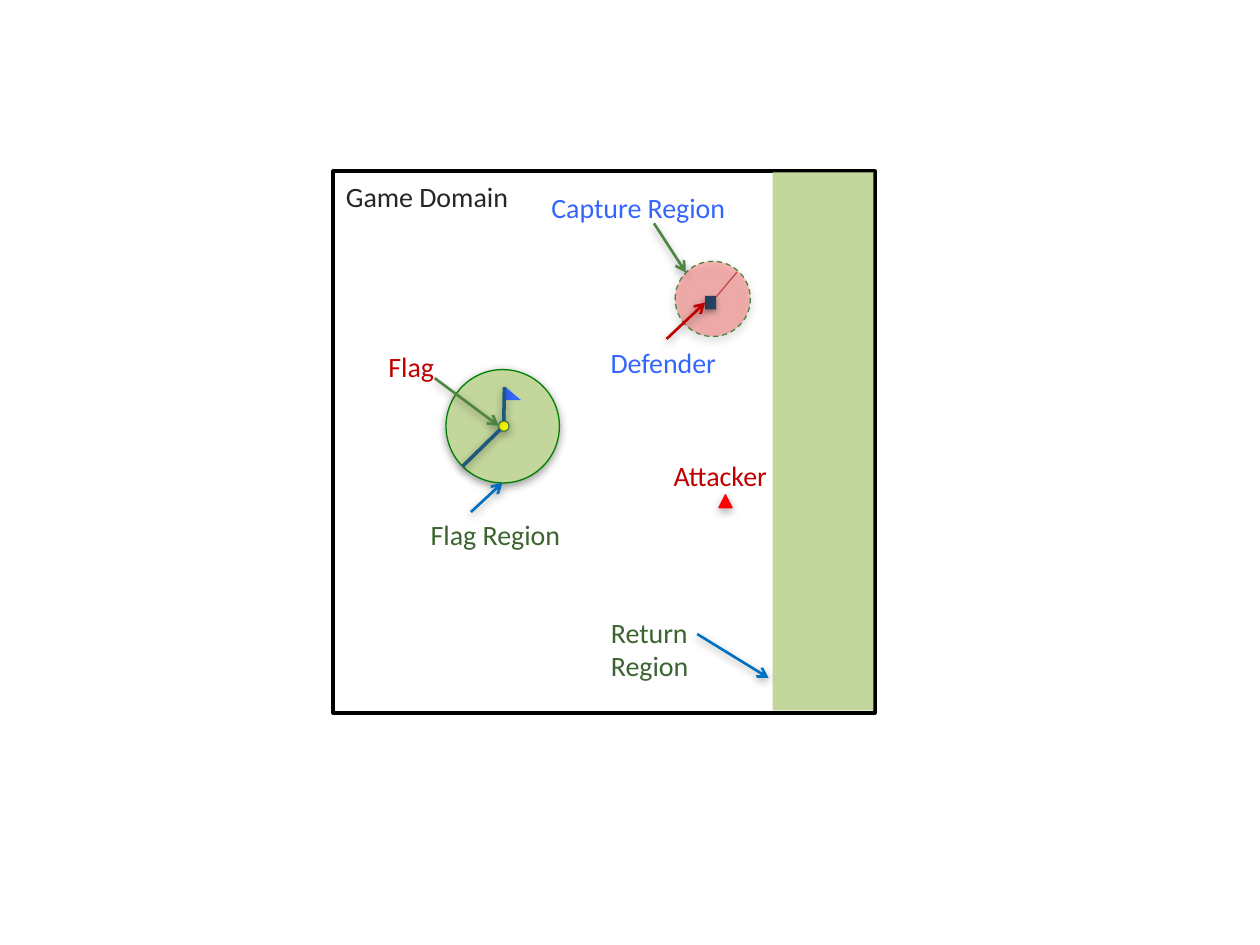
from lxml.etree import SubElement
from pptx import Presentation
from pptx.dml.color import RGBColor
from pptx.enum.dml import MSO_LINE_DASH_STYLE as Dash
from pptx.enum.shapes import MSO_CONNECTOR as Connector, MSO_SHAPE as Preset
from pptx.enum.text import MSO_AUTO_SIZE as AutoSize
from pptx.oxml.ns import qn
from pptx.util import Pt

COLORS = {
    "black": "000000", "text": "262626", "region": "C3D69B", "region_edge": "008000",
    "edge": "4B843F", "arrow_green": "4E8542", "label_green": "3B6431",
    "yellow": "FFFF00", "red": "FF0000", "dark_red": "C00000", "radius_red": "BF4C48",
    "blue": "3366FF", "arrow_blue": "0070C0", "pole": "1B587C", "navy": "254061",
}
RGB = {name: RGBColor.from_string(value) for name, value in COLORS.items()}


def add_shadow(effects, opacity, distance, blur=5):
    shadow = SubElement(effects, qn("a:outerShdw"), blurRad=str(Pt(blur)),
                        dist=str(Pt(distance)), dir="5400000", rotWithShape="0")
    color = SubElement(shadow, qn("a:srgbClr"), val=COLORS["black"])
    SubElement(color, qn("a:alpha"), val=str(opacity * 1000))


presentation = Presentation()
presentation.slide_width, presentation.slide_height = Pt(720), Pt(540)
slide = presentation.slides.add_slide(presentation.slide_layouts[6])

SOFT, DEEP, TIGHT = (35, 1.8), (38, 1.6), (35, 1.8, 3.1)
shapes = [
    ("domain", Preset.RECTANGLE, (190.4, 97.8, 309.6, 309.6), None, "black", 2, None),
    ("flag region", Preset.OVAL, (254.9, 211.2, 64.8, 64.8), "region", "region_edge", 0.75, DEEP),
    ("flag base", Preset.OVAL, (284.9, 240.5, 6, 6), "yellow", "edge", 0.75, SOFT),
    ("attacker", Preset.ISOSCELES_TRIANGLE, (410.8, 282.7, 7.5, 7.4), "red", "red", 0.75, SOFT),
    ("capture region", Preset.OVAL, (385.8, 149.3, 43, 43), "red", "edge", 0.75, SOFT),
    ("defender", Preset.RECTANGLE, (403, 169, 6.3, 7.8), "navy", None, 0, TIGHT),
    ("return region", Preset.RECTANGLE, (441.5, 98.6, 57.6, 307.4), "region", None, 0, None),
    ("pennant", Preset.RIGHT_TRIANGLE, (288.9, 221.2, 8.8, 7.4), "blue", None, 0, None),
]
placed = {}
for name, preset, box, fill, line, width, shadow in shapes:
    shape = slide.shapes.add_shape(preset, *map(Pt, box))
    shape.shadow.inherit = False
    if fill:
        shape.fill.solid()
        shape.fill.fore_color.rgb = RGB[fill]
    else:
        shape.fill.background()
    if line:
        shape.line.color.rgb = RGB[line]
        shape.line.width = Pt(width)
    else:
        shape.line.fill.background()
    if shadow:
        add_shadow(shape._element.spPr.find(qn("a:effectLst")), *shadow)
    placed[name] = shape

capture_region = placed["capture region"]
capture_region.line.dash_style = Dash.DASH
capture_color = capture_region._element.spPr.find(qn("a:solidFill"))[0]
SubElement(capture_color, qn("a:alpha"), val="27000")

lines = [
    ("capture arrow", (373.7, 127.6, 391.9, 155.7), "arrow_green", 1.5, True, SOFT),
    ("defender arrow", (380.9, 193.7, 403, 172.9), "dark_red", 1.5, True, SOFT),
    ("flag arrow", (248.4, 216.1, 285, 243.4), "arrow_green", 1.5, True, SOFT),
    ("flag region arrow", (269.1, 292.6, 287.1, 275.9), "arrow_blue", 1.5, True, SOFT),
    ("return arrow", (398.4, 362.3, 439.2, 387.4), "arrow_blue", 1.5, True, SOFT),
    ("capture radius", (421.1, 155.5, 409.3, 169.6), "radius_red", 0.75, False, None),
    ("flag radius", (285.8, 245.5, 264.2, 266.6), "pole", 2, False, DEEP),
    ("flag pole", (288.2, 221.2, 287.9, 240.5), "pole", 2, False, DEEP),
]
for name, ends, color, width, arrow, shadow in lines:
    connector = slide.shapes.add_connector(Connector.STRAIGHT, *map(Pt, ends))
    connector.line.color.rgb = RGB[color]
    connector.line.width = Pt(width)
    if arrow:
        SubElement(connector.line._get_or_add_ln(), qn("a:tailEnd"), type="arrow")
    effects = SubElement(connector._element.spPr, qn("a:effectLst"))
    if shadow:
        add_shadow(effects, *shadow)
    if name == "defender arrow":
        connector.end_connect(placed["defender"], 1)

labels = [
    ("Game Domain", (190.6, 99, 120.2, 26.6), "text"),
    ("Capture Region", (308, 105.1, 120.2, 26.6), "blue"),
    ("Defender", (341.8, 193.7, 77.8, 26.6), "blue"),
    ("Attacker", (377.8, 258.5, 77.8, 26.6), "dark_red"),
    ("Flag", (214.8, 196.2, 41.8, 26.6), "dark_red"),
    ("Flag Region", (239, 292, 92.2, 26.6), "label_green"),
    ("Return Region", (342, 348.1, 77.8, 46), "label_green"),
]
for text, box, color in labels:
    text_box = slide.shapes.add_textbox(*map(Pt, box))
    frame = text_box.text_frame
    frame.word_wrap = True
    frame.auto_size = AutoSize.SHAPE_TO_FIT_TEXT
    paragraph = frame.paragraphs[0]
    run = paragraph.add_run()
    run.text = text
    for attribute, value in {"name": "Calibri", "size": Pt(16)}.items():
        setattr(run.font, attribute, value)
    run.font.color.rgb = RGB[color]

presentation.save("out.pptx")
